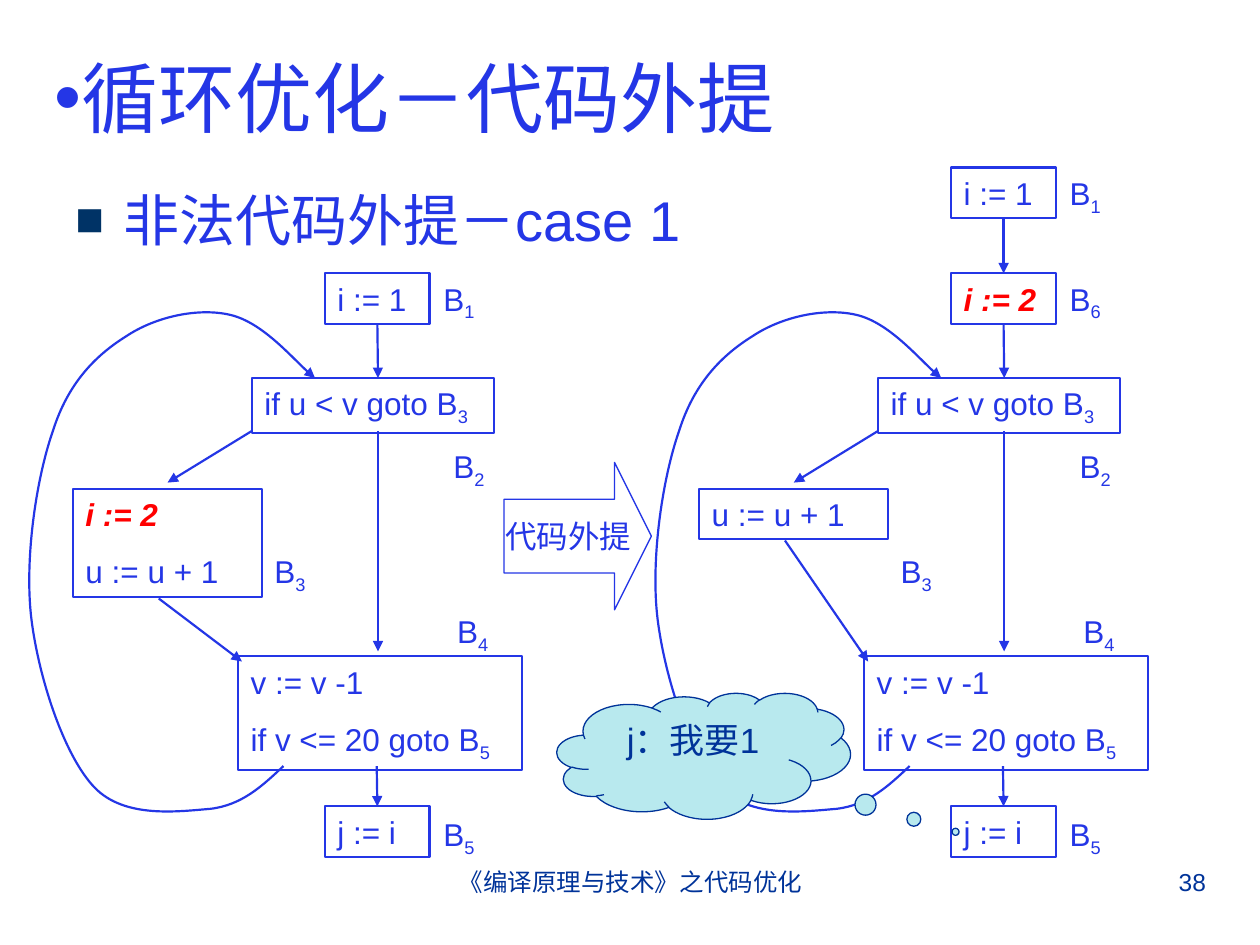
import pptx
import pptx.dml.color
import pptx.enum.shapes
import pptx.enum.text
import pptx.oxml.ns
import pptx.util
from lxml import etree
from pptx.util import Inches

BLUE = pptx.dml.color.RGBColor(0x24, 0x36, 0xE6)
NAVY = pptx.dml.color.RGBColor(0x00, 0x33, 0x99)
DARK = pptx.dml.color.RGBColor(0x00, 0x33, 0x66)
RED = pptx.dml.color.RGBColor(0xFF, 0x00, 0x00)
SKY = pptx.dml.color.RGBColor(0xB8, 0xE9, 0xEE)
SHAPE = pptx.enum.shapes.MSO_SHAPE
ALIGN = pptx.enum.text.PP_ALIGN
ANCHOR = pptx.enum.text.MSO_ANCHOR
qn = pptx.oxml.ns.qn

BOTTOM, TOP = 2, 0
# Start point, then three points for each Bezier curve of the back edge
BACK_EDGE = [
    (2.06, 3.91),
    (1.89, 4.07), (1.73, 4.22), (1.48, 4.25),
    (1.23, 4.27), (0.80, 4.33), (0.56, 4.08),
    (0.32, 3.83), (0.12, 3.22), (0.06, 2.75),
    (0.00, 2.27), (0.10, 1.62), (0.23, 1.25),
    (0.35, 0.87), (0.57, 0.65), (0.81, 0.50),
    (1.05, 0.34), (1.39, 0.27), (1.64, 0.33),
    (1.89, 0.39), (2.20, 0.75), (2.31, 0.83),
]


def write_text(frame, text, size=18, color=BLUE, align=ALIGN.LEFT,
               anchor=ANCHOR.TOP, wrap=True, highlight=None, bullet=None):
    """Write lines of text; "_" starts a subscript, the highlight line is red."""
    frame.word_wrap = wrap
    frame.vertical_anchor = anchor
    for index, line in enumerate(text.split("\n")):
        para = frame.add_paragraph() if index else frame.paragraphs[0]
        para.alignment = align
        if index:
            para.space_before = pptx.util.Pt(11.2)
        if bullet:
            add_bullet(para, **bullet)
        for part, words in enumerate(line.split("_")):
            span = para.add_run()
            span.text = words
            span.font.name = "Arial"
            span.font.size = pptx.util.Pt(size)
            span.font.bold = span.font.italic = line == highlight
            span.font.color.rgb = RED if line == highlight else color
            if part:
                span._r.get_or_add_rPr().set("baseline", "-25000")


def add_bullet(para, char, color, percent=100, indent=0.0):
    properties = para._p.get_or_add_pPr()
    properties.set("marL", str(Inches(indent)))
    properties.set("indent", str(-Inches(indent)))
    paint = etree.SubElement(properties, qn("a:buClr"))
    etree.SubElement(paint, qn("a:srgbClr"), val=str(color))
    etree.SubElement(properties, qn("a:buSzPct"), val=str(percent * 1000))
    etree.SubElement(properties, qn("a:buFont"), typeface="Arial")
    etree.SubElement(properties, qn("a:buChar"), char=char)


def add_label(page, left, top, width, height, text, **style):
    box = page.shapes.add_textbox(*map(Inches, (left, top, width, height)))
    write_text(box.text_frame, text, **style)


def add_box(page, left, top, width, height, text, kind=SHAPE.RECTANGLE,
            fill=None, line=BLUE, weight=1.25, adjustments=(), **style):
    box = page.shapes.add_shape(kind, *map(Inches, (left, top, width, height)))
    box.shadow.inherit = False
    for index, value in enumerate(adjustments):
        box.adjustments[index] = value
    if fill is None:
        box.fill.background()
    else:
        box.fill.solid()
        box.fill.fore_color.rgb = fill
    box.line.color.rgb = line
    box.line.width = pptx.util.Pt(weight)
    write_text(box.text_frame, text, **style)
    return box


def format_arrow(arrow):
    arrow.line.color.rgb = BLUE
    arrow.line.width = pptx.util.Pt(1.25)
    etree.SubElement(arrow.line._get_or_add_ln(), qn("a:tailEnd"), type="triangle")


def add_arrow(page, start, end, source=None, target=None):
    """Draw an arrow, joined to the bottom of source and the top of target."""
    arrow = page.shapes.add_connector(
        pptx.enum.shapes.MSO_CONNECTOR.STRAIGHT, *map(Inches, (*start, *end)))
    if source:
        arrow.begin_connect(source, BOTTOM)
    if target:
        arrow.end_connect(target, TOP)
    format_arrow(arrow)
    etree.SubElement(arrow._element.spPr, qn("a:effectLst"))


def add_curved_arrow(page, points):
    points = [(Inches(x), Inches(y)) for x, y in points]
    builder = page.shapes.build_freeform(*points[0])
    builder.add_line_segments(points[1:], close=False)
    curve = builder.convert_to_shape()
    curve.shadow.inherit = False
    curve.fill.background()
    format_arrow(curve)
    segments = list(curve._element.iter(qn("a:lnTo")))
    for first in range(0, len(segments), 3):
        bezier = etree.Element(qn("a:cubicBezTo"))
        segments[first].addprevious(bezier)
        for segment in segments[first:first + 3]:
            bezier.append(segment[0])
            segment.getparent().remove(segment)


def add_flow_graph(page, left, top, head, head_name, body, body_height, highlight):
    """Draw the loop's flow graph and return its first block."""
    def block(x, y, width, height, text):
        return add_box(page, left + x, top + y, width, height, text,
                       highlight=highlight)

    def name(x, y, text):
        add_label(page, left + x, top + y, 0.83, 0.44, text)

    def arrow(x1, y1, x2, y2, **ends):
        add_arrow(page, (left + x1, top + y1), (left + x2, top + y2), **ends)

    entry = block(2.39, 0, 0.83, 0.4, head)
    block(1.81, 0.83, 1.92, 0.44, "if u < v goto B_3")
    block(0.39, 1.71, 1.5, body_height, body)
    block(1.7, 3.04, 2.25, 0.9, "v := v -1\nif v <= 20 goto B_5")
    leave = block(2.39, 4.23, 0.83, 0.4, "j := i")

    name(3.23, 0, head_name)
    name(3.31, 1.33, "B_2")
    name(1.89, 2.16, "B_3")
    name(3.34, 2.64, "B_4")
    name(3.23, 4.25, "B_5")

    arrow(2.81, 0.4, 2.81, 0.83, source=entry)
    arrow(1.81, 1.25, 1.14, 1.66)
    arrow(2.81, 1.25, 2.81, 3)
    arrow(1.07, 1.72 + body_height, 1.73, 3.08)
    arrow(2.8, 3.91, 2.8, 4.23, target=leave)
    add_curved_arrow(page, [(left + x, top + y) for x, y in BACK_EDGE])
    return entry


def add_heading(page, left, top, width):
    title = page.shapes.title
    title.left, title.top = Inches(left), Inches(top)
    title.width, title.height = Inches(width), Inches(1.03)
    write_text(title.text_frame, "循环优化－代码外提", size=44,
               anchor=ANCHOR.MIDDLE, bullet=dict(char="•", color=BLUE))
    add_label(page, left + 0.17, top + 1.17, 6.5, 0.65, "非法代码外提－case 1", size=32,
              bullet=dict(char="■", color=DARK, percent=85, indent=0.38))


def add_footer(page, top):
    add_label(page, 3.42, top, 3.17, 0.52, "《编译原理与技术》之代码优化",
              size=14, color=NAVY, align=ALIGN.CENTER)
    add_label(page, 7.17, top, 2.5, 0.52, "38",
              size=14, color=NAVY, align=ALIGN.RIGHT)


def main():
    deck = pptx.Presentation()
    deck.slide_width, deck.slide_height = Inches(10), Inches(7.5)
    page = deck.slides.add_slide(deck.slide_layouts.get_by_name("Title Only"))
    add_footer(page, 6.83)
    add_heading(page, 0.33, 0.25, 9.34)

    add_flow_graph(page, 0.19, 2.17, "i := 1", "B_1",
                   "i := 2\nu := u + 1", 0.86, "i := 2")
    add_box(page, 4, 3.67, 1.17, 1.17, "代码外提", kind=SHAPE.RIGHT_ARROW,
            weight=0.75, adjustments=(0.5, 0.25), align=ALIGN.CENTER,
            anchor=ANCHOR.MIDDLE, wrap=False)

    moved = add_flow_graph(page, 5.16, 2.17, "i := 2", "B_6", "u := u + 1", 0.4, "i := 2")
    first = add_box(page, 7.55, 1.33, 0.83, 0.4, "i := 1")
    add_label(page, 8.39, 1.33, 0.83, 0.44, "B_1")
    add_arrow(page, (7.97, 1.73), (7.97, 2.17), source=first, target=moved)
    add_box(page, 4.42, 5.5, 2.33, 1, "j：我要1", kind=SHAPE.CLOUD_CALLOUT,
            fill=SKY, line=NAVY, weight=0.75, adjustments=(0.858, 0.602),
            size=20, color=NAVY, align=ALIGN.CENTER)
    deck.save("out.pptx")


if __name__ == "__main__":
    main()
